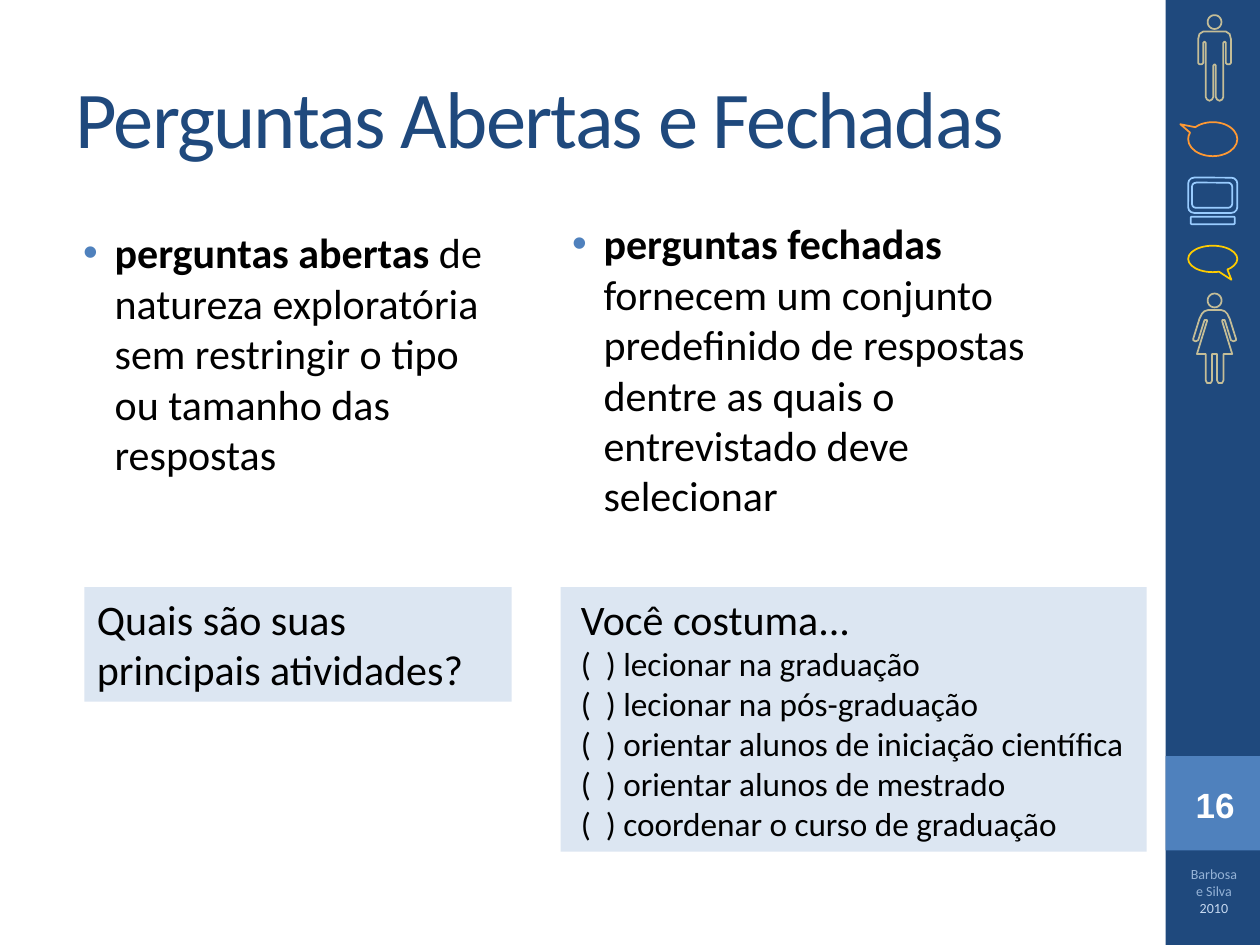
from dataclasses import dataclass, field
from math import cos, pi, sin

from lxml import etree
from pptx import Presentation
from pptx import util as u
from pptx.dml.color import RGBColor
from pptx.enum import shapes, text
from pptx.oxml.ns import qn

NAVY, BLUE, PALE, TAN, SKY = "1F497D", "4F81BD", "DCE6F2", "C4BD97", "99CCFF"
KIND = shapes.MSO_SHAPE
MID = 9.64  # centre line of the two figures


@dataclass
class Run:
    words: str
    size: float
    hue: str = "000000"
    bold: bool = False
    face: str = "Calibri"


@dataclass
class Part:
    kind: int
    box: tuple
    fill: str = ""
    line: str = ""
    adj: list = field(default_factory=list)


def tint(code: str) -> RGBColor:
    return RGBColor.from_string(code)


def place(shape, box: tuple) -> None:
    for name, val in zip(("left", "top", "width", "height"), box):
        setattr(shape, name, u.Inches(val))


def paint(shape, fill: str, line: str) -> None:
    shape.shadow.inherit = False
    if fill:
        shape.fill.solid()
        shape.fill.fore_color.rgb = tint(fill)
    else:
        shape.fill.background()
    if line:
        shape.line.color.rgb = tint(line)
        shape.line.width = u.Pt(1)
    else:
        shape.line.fill.background()


def draw(slide, part: Part):
    shape = slide.shapes.add_shape(part.kind, *map(u.Inches, part.box))
    paint(shape, part.fill, part.line)
    for i, val in enumerate(part.adj):
        shape.adjustments[i] = val
    return shape


def write(frame, paras: list[list[Run]], align=text.PP_ALIGN.LEFT,
          anchor=text.MSO_ANCHOR.TOP, pad: float = 0.1) -> None:
    form = {"word_wrap": True, "auto_size": text.MSO_AUTO_SIZE.NONE,
            "vertical_anchor": anchor,
            "margin_left": u.Inches(pad), "margin_right": u.Inches(pad)}
    for name, val in form.items():
        setattr(frame, name, val)
    for i, runs in enumerate(paras):
        para = frame.paragraphs[0] if i == 0 else frame.add_paragraph()
        para.alignment = align
        for item in runs:
            run = para.add_run()
            run.text = item.words
            font = {"name": item.face, "size": u.Pt(item.size), "bold": item.bold}
            for name, val in font.items():
                setattr(run.font, name, val)
            run.font.color.rgb = tint(item.hue)


def bullet(para) -> None:
    props = para._p.get_or_add_pPr()
    props.set("marL", str(u.Inches(0.38)))
    props.set("indent", str(u.Inches(-0.25)))
    hue = etree.SubElement(props, qn("a:buClr"))
    etree.SubElement(hue, qn("a:srgbClr")).set("val", BLUE)
    etree.SubElement(props, qn("a:buFont")).set("typeface", "Arial")
    etree.SubElement(props, qn("a:buChar")).set("char", "•")


def person(slide, top: float, half: list[tuple]) -> None:
    """Outline a head and a body mirrored about the centre line."""
    rad = 0.055
    head = [(rad * cos(k * pi / 16), rad + rad * sin(k * pi / 16)) for k in range(32)]
    body = half + [(-x, y) for x, y in reversed(half)]
    loops = [[(u.Inches(MID + x), u.Inches(top + y)) for x, y in loop]
             for loop in (head, body)]
    pen = slide.shapes.build_freeform(*loops[0][0])
    pen.add_line_segments(loops[0][1:], close=True)
    pen.move_to(*loops[1][0])
    pen.add_line_segments(loops[1][1:], close=True)
    paint(pen.convert_to_shape(), "", TAN)


# Left halves of the bodies, from shoulder to inner leg
MAN = [(-0.06, 0.13), (-0.09, 0.13), (-0.12, 0.15), (-0.13, 0.19), (-0.13, 0.38),
       (-0.12, 0.39), (-0.1, 0.39), (-0.09, 0.38), (-0.09, 0.22), (-0.08, 0.21),
       (-0.07, 0.22), (-0.07, 0.65), (-0.06, 0.67), (-0.04, 0.68), (-0.02, 0.67),
       (-0.01, 0.65), (-0.01, 0.4), (0, 0.39)]
WOMAN = [(-0.05, 0.13), (-0.08, 0.14), (-0.1, 0.16), (-0.12, 0.2), (-0.17, 0.36),
         (-0.17, 0.37), (-0.15, 0.38), (-0.13, 0.37), (-0.08, 0.21), (-0.06, 0.21),
         (-0.06, 0.22), (-0.14, 0.48), (-0.07, 0.48), (-0.07, 0.69), (-0.06, 0.71),
         (-0.03, 0.71), (-0.02, 0.69), (-0.02, 0.48)]

SIDE = [
    Part(KIND.RECTANGLE, (9.25, 0, 0.75, 7.5), NAVY),
    Part(KIND.RECTANGLE, (9.25, 6, 0.75, 0.75), BLUE),
    # Speech balloons
    Part(KIND.OVAL_CALLOUT, (9.43, 0.97, 0.39, 0.27), "", "FF9933", [-0.66, -0.44]),
    Part(KIND.OVAL_CALLOUT, (9.43, 1.95, 0.39, 0.21), "", "FFCC00", [0.38, 0.79]),
    # Computer
    Part(KIND.ROUNDED_RECTANGLE, (9.43, 1.41, 0.39, 0.28), "", SKY),
    Part(KIND.ROUNDED_RECTANGLE, (9.46, 1.45, 0.32, 0.2), "", SKY),
    Part(KIND.ROUNDED_RECTANGLE, (9.45, 1.72, 0.35, 0.06), "", SKY),
]
LABELS = [
    ((9.31, 6.17, 0.67, 0.44), [Run("16", 20, "FFFFFF", True, "Arial")]),
    ((9.33, 6.82, 0.61, 0.55), [Run("Barbosa e Silva ", 8, "95B3D7"),
                                Run("2010", 8, "C6D9F1")]),
]
LISTS = [
    ((0.43, 1.75, 3.56, 5.25), "perguntas abertas",
     " de natureza exploratória sem restringir o tipo ou tamanho das respostas"),
    ((4.31, 1.68, 4.08, 5.02), "perguntas fechadas",
     " fornecem um conjunto predeﬁnido de respostas dentre as quais o "
     "entrevistado deve selecionar"),
]
CHOICES = ["lecionar na graduação", "lecionar na pós-graduação",
           "orientar alunos de iniciação científica",
           "orientar alunos de mestrado", "coordenar o curso de graduação"]
CARDS = [
    ((0.67, 4.66, 3.39, 0.91), 0.1,
     [[Run("Quais são suas principais atividades?", 24)]]),
    ((4.45, 4.66, 4.65, 2.1), 0.16,
     [[Run("Você costuma...", 24)]] + [[Run(f"(  ) {c}", 19)] for c in CHOICES]),
]


def main() -> None:
    deck = Presentation()
    deck.slide_width, deck.slide_height = u.Inches(10), u.Inches(7.5)
    slide = deck.slides.add_slide(deck.slide_layouts[3])

    # Side band
    for part in SIDE:
        draw(slide, part)
    person(slide, 0.12, MAN)
    person(slide, 2.33, WOMAN)
    for box, runs in LABELS:
        label = slide.shapes.add_textbox(*map(u.Inches, box))
        write(label.text_frame, [runs], text.PP_ALIGN.CENTER)

    # Title
    title = slide.shapes.title
    place(title, (0.5, 0.3, 8.33, 1.25))
    write(title.text_frame, [[Run("Perguntas Abertas e Fechadas", 46, NAVY)]],
          anchor=text.MSO_ANCHOR.MIDDLE)
    title.text_frame.paragraphs[0].runs[0].font._element.set("spc", "-100")

    # Bulleted columns
    for idx, (box, lead, rest) in enumerate(LISTS, 1):
        body = slide.placeholders[idx]
        place(body, box)
        write(body.text_frame, [[Run(lead, 24, bold=True), Run(rest, 24)]])
        bullet(body.text_frame.paragraphs[0])

    # Sample questions
    for box, pad, paras in CARDS:
        card = draw(slide, Part(KIND.RECTANGLE, box, PALE))
        write(card.text_frame, paras, pad=pad)

    deck.save("out.pptx")


if __name__ == "__main__":
    main()
